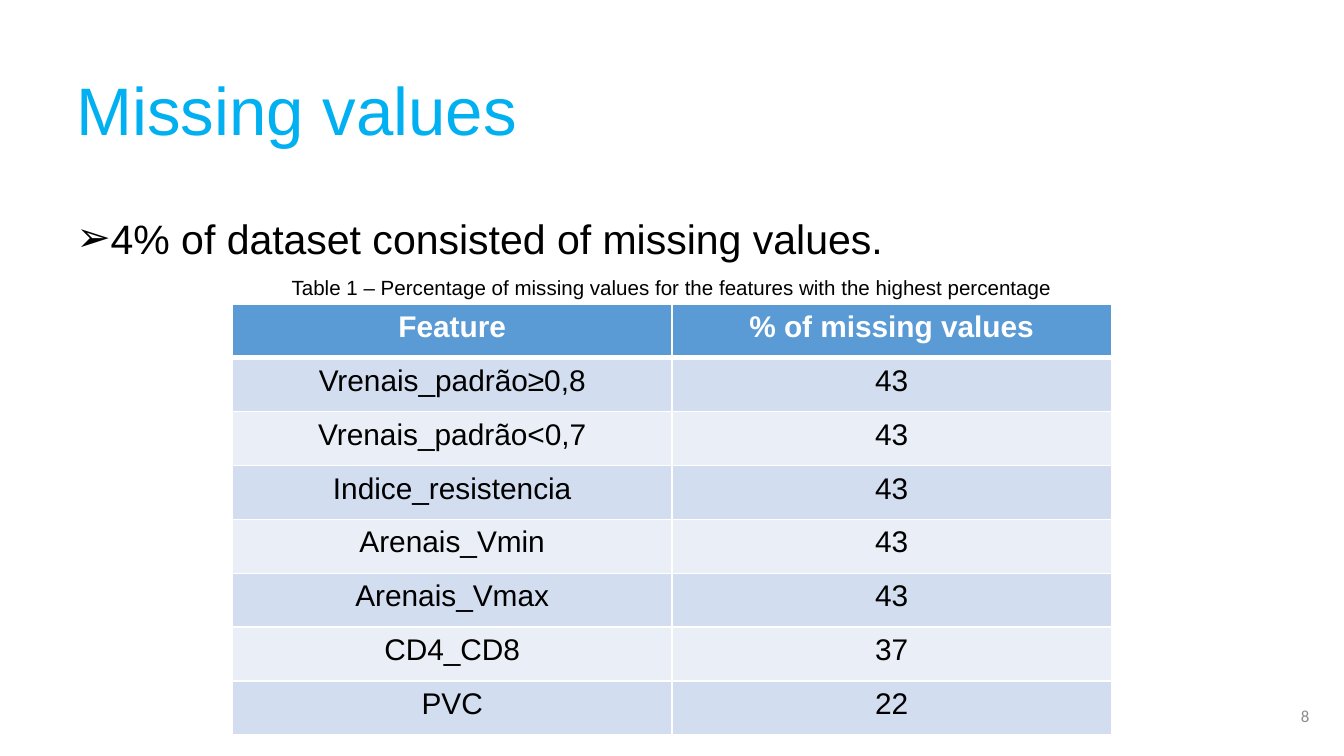
from lxml import etree
from pptx import Presentation
from pptx.dml.color import RGBColor
from pptx.enum import text
from pptx.oxml import ns
from pptx.util import Inches, Pt

# Content
TITLE = "Missing values"
STATEMENT = "4% of dataset consisted of missing values."
CAPTION = "Table 1 – Percentage of missing values for the features with the highest percentage"
PAGE_NUMBER = "8"
HEADER = ("Feature", "% of missing values")
FEATURES = [
    ("Vrenais_padrão≥0,8", "43"),
    ("Vrenais_padrão<0,7", "43"),
    ("Indice_resistencia", "43"),
    ("Arenais_Vmin", "43"),
    ("Arenais_Vmax", "43"),
    ("CD4_CD8", "37"),
    ("PVC", "22"),
]

# Style
CYAN = RGBColor(0x00, 0xB0, 0xF0)
BLACK = RGBColor(0x00, 0x00, 0x00)
WHITE = RGBColor(0xFF, 0xFF, 0xFF)
GREY = RGBColor(0x8C, 0x8C, 0x8C)
HEADER_BLUE = RGBColor(0x5B, 0x9B, 0xD5)
BANDS = (RGBColor(0xD2, 0xDE, 0xEF), RGBColor(0xEA, 0xEF, 0xF7))
LEFT, ALIGN_CENTER, ALIGN_RIGHT = (
    text.PP_ALIGN.LEFT, text.PP_ALIGN.CENTER, text.PP_ALIGN.RIGHT)
TOP, MIDDLE = text.MSO_ANCHOR.TOP, text.MSO_ANCHOR.MIDDLE

# Layout in inches
SLIDE_WIDTH = 10
SLIDE_HEIGHT = SLIDE_WIDTH * 9 / 16
TABLE_LEFT, TABLE_TOP, TABLE_WIDTH, TABLE_HEIGHT = 1.73, 2.26, 6.54, 3.21


def style_run(paragraph, size, color, font="Arial", bold=False):
    for run in paragraph.runs:
        run.font.size = Pt(size)
        run.font.name = font
        run.font.bold = bold
        run.font.color.rgb = color


def add_text(slide, box, words, size, color, font="Arial", align=LEFT,
             anchor=TOP):
    shape = slide.shapes.add_textbox(*map(Inches, box))
    frame = shape.text_frame
    frame.word_wrap = True
    frame.vertical_anchor = anchor
    frame.margin_left = frame.margin_right = Inches(0.1)
    frame.margin_top = frame.margin_bottom = Inches(0.05)
    frame.text = words
    paragraph = frame.paragraphs[0]
    paragraph.alignment = align
    style_run(paragraph, size, color, font)
    return paragraph


def add_bullet(paragraph, symbol, indent):
    properties = paragraph._p.get_or_add_pPr()
    properties.set("marL", str(Inches(indent)))
    properties.set("indent", str(-Inches(indent)))
    etree.SubElement(properties, ns.qn("a:buFont"), typeface="Arial")
    etree.SubElement(properties, ns.qn("a:buChar"), char=symbol)


def set_borders(cell, top_width, bottom_width):
    properties = cell._tc.get_or_add_tcPr()
    widths = {"lnL": 1, "lnR": 1, "lnT": top_width, "lnB": bottom_width}
    for position, (side, width) in enumerate(widths.items()):
        line = etree.Element(ns.qn(f"a:{side}"), w=str(Pt(width)))
        fill = etree.SubElement(line, ns.qn("a:solidFill"))
        etree.SubElement(fill, ns.qn("a:srgbClr"), val=str(WHITE))
        properties.insert(position, line)


def add_feature_table(slide):
    rows = [HEADER, *FEATURES]
    table = slide.shapes.add_table(
        len(rows), len(HEADER), Inches(TABLE_LEFT), Inches(TABLE_TOP),
        Inches(TABLE_WIDTH), Inches(TABLE_HEIGHT)).table
    for row_index, values in enumerate(rows):
        is_header = row_index == 0
        for column_index, value in enumerate(values):
            cell = table.cell(row_index, column_index)
            cell.text = value
            cell.fill.solid()
            cell.fill.fore_color.rgb = HEADER_BLUE if is_header else BANDS[(row_index - 1) % 2]
            # A thick rule separates the header from the first row
            set_borders(cell, 3 if row_index == 1 else 1, 3 if is_header else 1)
            paragraph = cell.text_frame.paragraphs[0]
            paragraph.alignment = ALIGN_CENTER
            style_run(paragraph, 16, WHITE if is_header else BLACK, bold=is_header)


def main():
    presentation = Presentation()
    presentation.slide_width = Inches(SLIDE_WIDTH)
    presentation.slide_height = Inches(SLIDE_HEIGHT)
    slide = presentation.slides.add_slide(presentation.slide_layouts[6])

    # Title and page number
    title = add_text(slide, (0.47, 0.3, 8.62, 1.09), TITLE, 36, CYAN, anchor=MIDDLE)
    title.line_spacing = 0.9
    add_text(slide, (8.33, 5.18, 1.51, 0.3), PAGE_NUMBER, 9, GREY, "Calibri",
             ALIGN_RIGHT, MIDDLE)

    # Bulleted statement
    statement = add_text(slide, (0.47, 1.5, 8.62, 3.57), STATEMENT, 22, BLACK)
    add_bullet(statement, "➢", 0.19)
    statement.line_spacing = 1.1

    # Table with its caption
    add_feature_table(slide)
    add_text(slide, (TABLE_LEFT, 2, TABLE_WIDTH, 0.29), CAPTION, 11, BLACK,
             align=ALIGN_CENTER)

    presentation.save("out.pptx")


if __name__ == "__main__":
    main()
